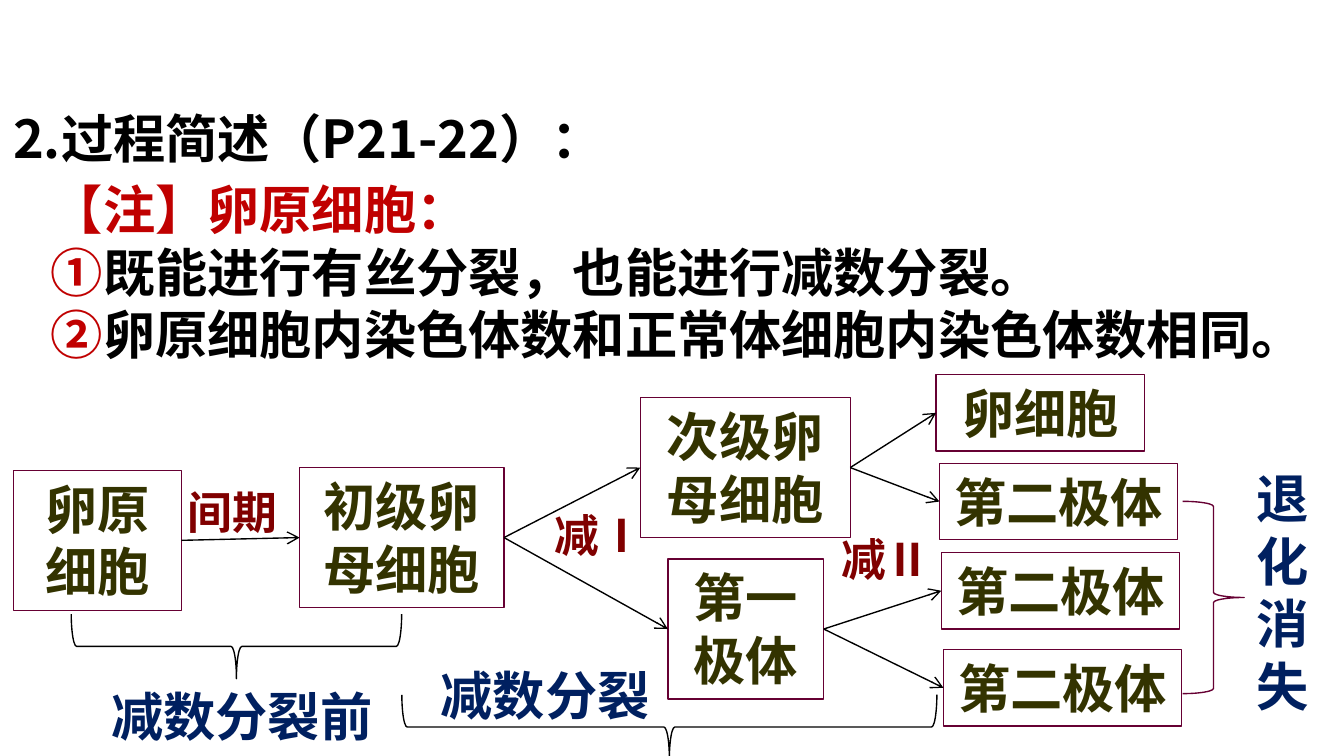
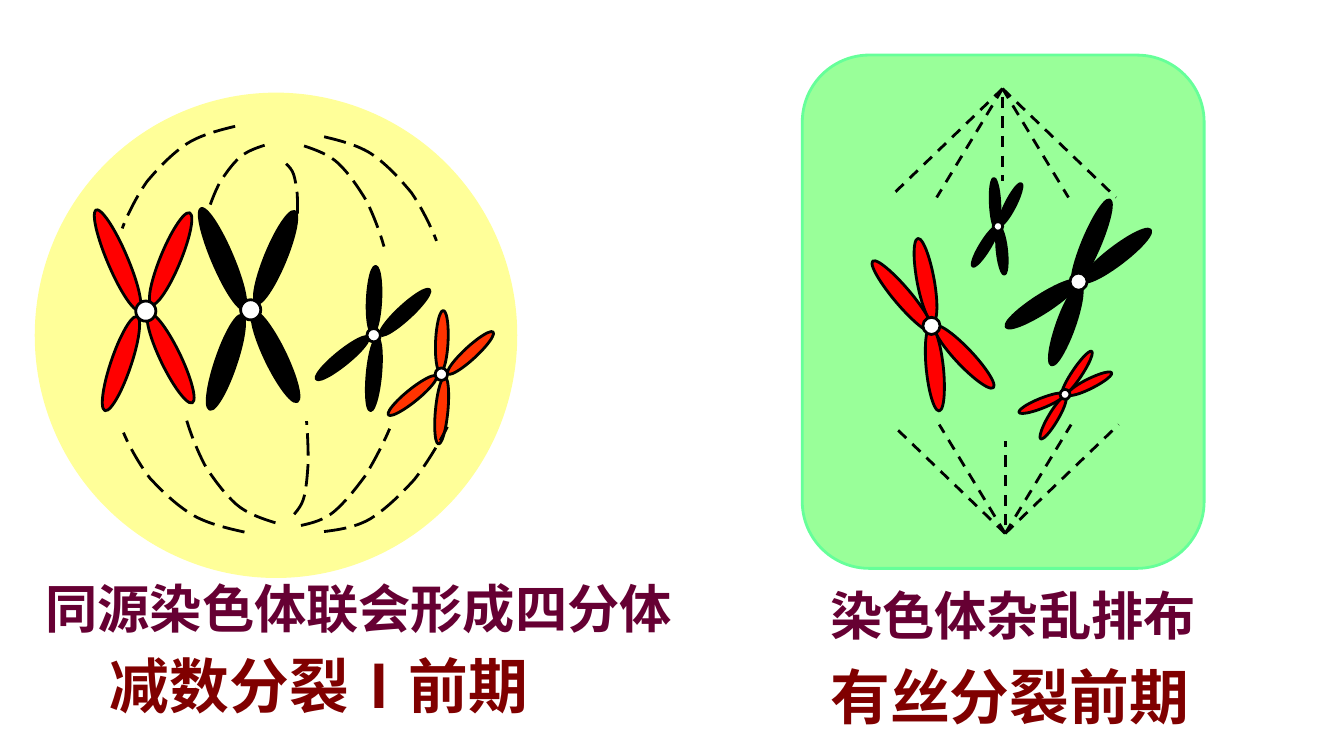
from math import cos, radians, sin

from lxml import etree
from pptx import Presentation
from pptx.dml.color import RGBColor
from pptx.enum.dml import MSO_LINE
from pptx.enum.shapes import MSO_CONNECTOR, MSO_SHAPE
from pptx.enum.text import MSO_ANCHOR, MSO_AUTO_SIZE, PP_ALIGN
from pptx.oxml.ns import qn
from pptx.util import Pt

RECTANGLE = MSO_SHAPE.RECTANGLE
ROUNDED = MSO_SHAPE.ROUNDED_RECTANGLE
OVAL = MSO_SHAPE.OVAL
LEFT_BRACE = MSO_SHAPE.LEFT_BRACE
RIGHT_BRACE = MSO_SHAPE.RIGHT_BRACE
STRAIGHT = MSO_CONNECTOR.STRAIGHT
DASH = MSO_LINE.DASH
LONG_DASH = MSO_LINE.LONG_DASH
TOP, MIDDLE = MSO_ANCHOR.TOP, MSO_ANCHOR.MIDDLE
LEFT, CENTER = PP_ALIGN.LEFT, PP_ALIGN.CENTER
FIT_SHAPE = MSO_AUTO_SIZE.SHAPE_TO_FIT_TEXT
LEFT_SITE, RIGHT_SITE = 1, 3

HAN = "Noto Sans CJK SC"
LATIN = "Arial"
SERIF = "Times New Roman"

COLORS = {
    "black": "000000",
    "white": "FFFFFF",
    "plum": "660033",
    "olive": "333300",
    "maroon": "800000",
    "navy": "002060",
    "note": "C00000",
    "red": "FF0000",
    "orange": "FF3300",
    "green": "99FF99",
    "green_edge": "66FF99",
    "yellow": "FFFF99",
}

ARC = [
    (0, 0), (0.15, 0.04), (0.32, 0.09), (0.44, 0.18), (0.57, 0.28),
    (0.68, 0.41), (0.78, 0.54), (0.87, 0.68), (0.96, 0.88), (1, 1),
]
MITOTIC_ARMS = [
    (-15.5, -15.8, 49.5, 49.8),
    (17.6, 16.6, 45.4, 46.6),
    (1.8, 23, 45.4, 84.2),
    (-3.2, -24.5, 45.4, 79.6),
]
MEIOTIC_ARMS = [
    (-15.1, -27.4, 58.3, 66.9),
    (13.3, 25.2, 53.3, 64.2),
    (-13.3, 28.1, 53.3, 108.8),
    (13.3, -28.1, 53.3, 112.5),
]


class Deck:
    def __init__(self):
        self.presentation = Presentation()
        self.presentation.slide_width = Pt(720)
        self.presentation.slide_height = Pt(405)
        self.slide = None

    def new_slide(self):
        layout = self.presentation.slide_layouts[6]
        self.slide = self.presentation.slides.add_slide(layout)

    def color(self, name):
        return RGBColor.from_string(COLORS[name])

    def style_font(self, font, size, color, name):
        font.size = Pt(size)
        font.bold = True
        font.color.rgb = self.color(color)
        font.name = name
        etree.SubElement(font._rPr, qn("a:ea")).set("typeface", HAN)

    def style_line(self, line, color, width, dash=None):
        line.color.rgb = self.color(color)
        line.width = Pt(width)
        if dash:
            line.dash_style = dash

    def set_text(self, shape, paragraphs, size, color, name=HAN, align=LEFT, anchor=TOP, spacing=None):
        frame = shape.text_frame
        frame.word_wrap = True
        frame.auto_size = FIT_SHAPE
        frame.vertical_anchor = anchor
        for index, content in enumerate(paragraphs):
            paragraph = frame.add_paragraph() if index else frame.paragraphs[0]
            paragraph.alignment = align
            if spacing:
                paragraph.line_spacing = spacing
            if isinstance(content, str):
                paragraph.add_run().text = content
                self.style_font(paragraph.font, size, color, name)
                continue
            for text, run_color, run_name in content:
                run = paragraph.add_run()
                run.text = text
                self.style_font(run.font, size, run_color, run_name)

    def text(self, frame, paragraphs, size, color, **options):
        box = self.slide.shapes.add_textbox(*map(Pt, frame))
        self.set_text(box, paragraphs, size, color, **options)

    def shape(self, kind, frame, fill=None, line="black", width=1.5, rotation=0):
        shape = self.slide.shapes.add_shape(kind, *map(Pt, frame))
        shape.shadow.inherit = False
        shape.rotation = rotation
        if fill:
            shape.fill.solid()
            shape.fill.fore_color.rgb = self.color(fill)
        else:
            shape.fill.background()
        self.style_line(shape.line, line, width)
        return shape

    def cell_box(self, frame, label):
        box = self.shape(RECTANGLE, frame, line="plum", width=0.75)
        self.set_text(box, [label], 28, "olive", align=CENTER)
        return box

    def line(self, start, end, width, dash=None):
        connector = self.slide.shapes.add_connector(STRAIGHT, *map(Pt, (*start, *end)))
        self.style_line(connector.line, "black", width, dash)
        etree.SubElement(connector._element.spPr, qn("a:effectLst"))
        return connector

    def arrow(self, source, target):
        connector = self.line((0, 0), (1, 1), 0.75)
        connector.begin_connect(source, RIGHT_SITE)
        connector.end_connect(target, LEFT_SITE)
        outline = connector._element.spPr.find(qn("a:ln"))
        etree.SubElement(outline, qn("a:tailEnd")).set("type", "arrow")

    def oval(self, center, width, height, fill, rotation=0):
        frame = (center[0] - width / 2, center[1] - height / 2, width, height)
        self.shape(OVAL, frame, fill, rotation=rotation)

    def chromosome(self, arms, center, fill, thickness, scale=1, turn=0):
        cosine, sine = cos(radians(turn)), sin(radians(turn))
        x, y = center
        for dx, dy, length, angle in arms:
            middle = (
                x + scale * (dx * cosine - dy * sine),
                y + scale * (dx * sine + dy * cosine),
            )
            self.oval(middle, length * scale, thickness * scale, fill, angle + turn)
        self.oval(center, thickness * scale, thickness * scale, "white")

    def spindle_fan(self, x, y, direction):
        reach = 58.3 * direction
        for dx in (35.3, -60.5, 60.8, -35.3):
            self.line((x, y), (x + dx, y + reach), 1.5, DASH)
        self.line((x, y + 4.3 * direction), (x, y + 49.3 * direction), 1.5, DASH)

    def spindle_arc(self, start, end, rotation=0):
        width, height = end[0] - start[0], end[1] - start[1]
        points = [(Pt(start[0] + u * width), Pt(start[1] + v * height)) for u, v in ARC]
        builder = self.slide.shapes.build_freeform(*points[0])
        builder.add_line_segments(points[1:], close=False)
        shape = builder.convert_to_shape()
        segments = list(shape._element.iter(qn("a:lnTo")))
        for index in range(0, len(segments), 3):
            curve = etree.SubElement(segments[index].getparent(), qn("a:cubicBezTo"))
            for segment in segments[index:index + 3]:
                curve.append(segment[0])
                segment.getparent().remove(segment)
        shape.shadow.inherit = False
        shape.fill.background()
        shape.rotation = rotation
        self.style_line(shape.line, "black", 1.5, LONG_DASH)


def build_process(deck):
    deck.new_slide()
    deck.text((0, 53.3, 381, 41), ["2.过程简述（P21-22）："], 28, "black")

    oogonium = deck.cell_box((7.2, 252, 90, 75), "卵原细胞")
    primary = deck.cell_box((160.5, 250.5, 109.5, 75), "初级卵母细胞")
    secondary = deck.cell_box((343, 213, 112.5, 75), "次级卵母细胞")
    first_polar = deck.cell_box((357.8, 299.5, 83.5, 75), "第一极体")
    egg = deck.cell_box((501.5, 200.7, 111.6, 41), "卵细胞")
    second_polars = [
        deck.cell_box((left, top, 127.7, 41), "第二极体")
        for left, top in ((503.3, 248.2), (504.3, 296), (505.4, 348))
    ]
    for source, target in (
        (oogonium, primary),
        (primary, secondary),
        (primary, first_polar),
        (secondary, egg),
        (secondary, second_polars[0]),
        (first_polar, second_polars[1]),
        (first_polar, second_polars[2]),
    ):
        deck.arrow(source, target)

    deck.text((93.6, 256.3, 71.3, 36), ["间期"], 24, "maroon")
    for left, top, numeral in ((290.2, 268.6, "Ⅰ"), (443.5, 281.5, "Ⅱ")):
        runs = [("减", "maroon", HAN), (numeral, "maroon", SERIF)]
        deck.text((left, top, 71.3, 36), [runs], 24, "maroon")

    deck.shape(LEFT_BRACE, (109.4, 257.8, 34.6, 177), width=0.75, rotation=270)
    deck.shape(LEFT_BRACE, (341.3, 246.2, 34.6, 286.6), width=0.75, rotation=270)
    deck.shape(RIGHT_BRACE, (633.6, 268.6, 33, 103), line="plum", width=0.75)
    for frame, label in (
        ((52.6, 358.6, 170.6, 42.5), "减数分裂前"),
        ((229, 344.9, 249.8, 47.5), "减数分裂"),
    ):
        deck.text(frame, [label], 28, "navy", anchor=MIDDLE, spacing=1.2)
    deck.text((666, 246.2, 41, 143.3), ["退化消失"], 28, "navy")

    notes = [
        "【注】卵原细胞：",
        [("①", "note", HAN), ("既能进行有丝分裂，也能进行减数分裂。", "black", HAN)],
        [("②", "note", HAN), ("卵原细胞内染色体数和正常体细胞内染色体数相同。", "black", HAN)],
    ]
    deck.text((20.2, 91.4, 675.4, 108.7), notes, 28, "note")


def build_prophase(deck):
    deck.new_slide()
    deck.shape(ROUNDED, (429.8, 29.5, 215.3, 275), "green", "green_edge")
    for center, fill, scale, turn in (
        ((499, 174.6), "red", 1, 0),
        ((577.8, 150.9), "black", 1, 63.1),
        ((570.6, 211.3), "red", 0.58, 73.9),
        ((534.6, 121.3), "black", 0.55, 37.4),
    ):
        deck.chromosome(MITOTIC_ARMS, center, fill, 9.2, scale, turn)
    deck.spindle_fan(537.1, 47.5, 1)
    deck.spindle_fan(538.5, 285.8, -1)

    deck.shape(OVAL, (19.4, 50.4, 257, 258.5), "yellow", "yellow")
    for center, fill, scale, turn in (
        ((134.3, 166), "black", 1, 0),
        ((78.1, 166.7), "red", 1, 0),
        ((236.5, 200.5), "orange", 0.62, 208.5),
        ((200.2, 179.6), "black", 0.67, 208.5),
    ):
        deck.chromosome(MEIOTIC_ARMS, center, fill, 10.8, scale, turn)

    for start, end, rotation in (
        ((141.8, 77.8), (110.9, 115.2), 0),
        ((203, 225.4), (167, 285.8), 191.7),
        ((163.4, 77.8), (205.2, 132.5), 358.9),
        ((147.6, 280.1), (100.1, 225.4), 0),
        ((126, 67.7), (65.5, 122.4), 0),
        ((174.2, 72.7), (233.3, 129.6), 358.9),
        ((131, 285.1), (66.2, 231.8), 0),
        ((233.3, 222.5), (180, 290.9), 191.7),
        ((169.2, 226.8), (152.6, 274.3), 168.3),
        ((162, 115.2), (150.5, 88.6), 191.7),
    ):
        deck.spindle_arc(start, end, rotation)

    meiosis = [
        ("减数分裂", "maroon", LATIN),
        ("Ⅰ", "maroon", HAN),
        ("前期", "maroon", LATIN),
    ]
    deck.text((51.8, 344.2, 249, 46), [meiosis], 32, "maroon")
    deck.text((437.8, 308.9, 242.6, 41), ["染色体杂乱排布"], 28, "plum")
    deck.text((17.3, 305.3, 356.4, 41), ["同源染色体联会形成四分体"], 28, "plum")
    deck.text((437.8, 349.9, 249.8, 46), ["有丝分裂前期"], 32, "maroon", name=LATIN)


def main():
    deck = Deck()
    build_process(deck)
    build_prophase(deck)
    deck.presentation.save("out.pptx")


if __name__ == "__main__":
    main()
